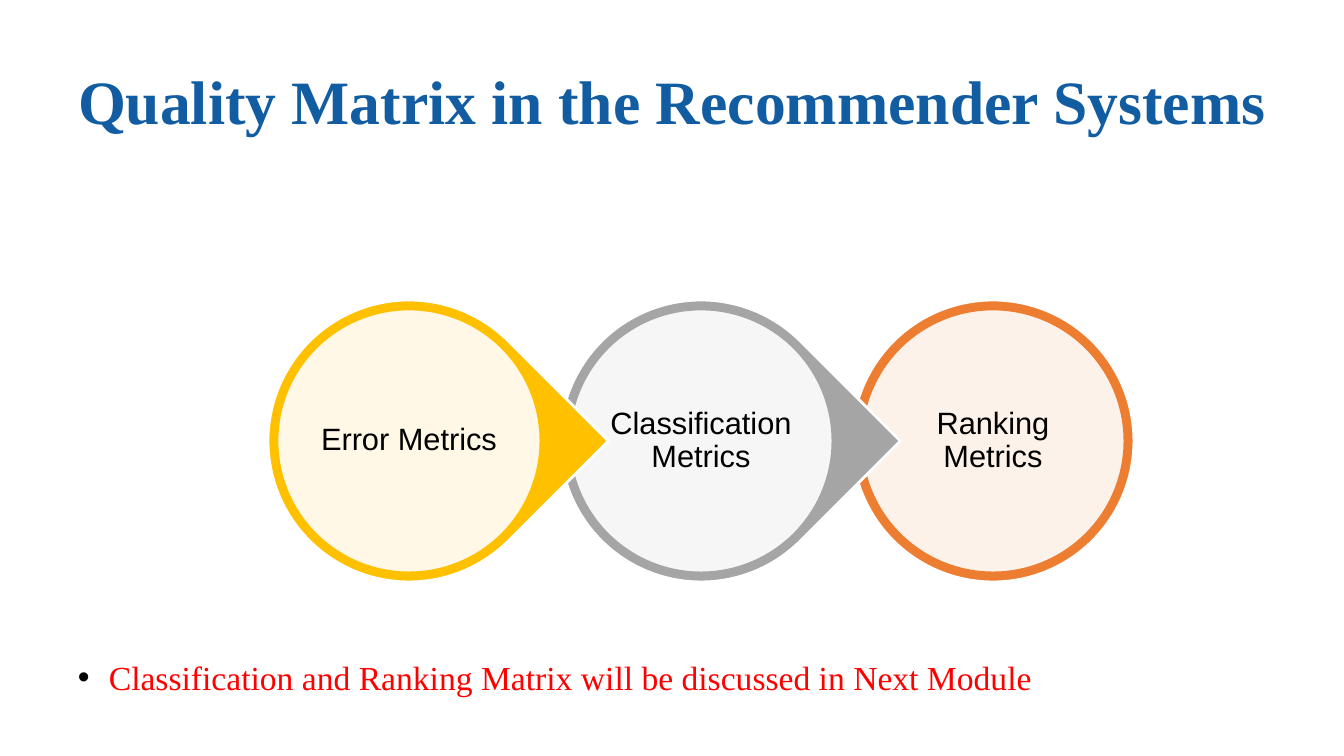
from lxml import etree
from pptx import Presentation
from pptx import util as u
from pptx.dml.color import RGBColor
from pptx.enum import shapes, text
from pptx.oxml.ns import qn

EMU_PER_PX = 914400 / 100.8
COLOURS = {
    "title": "125DA2", "note": "FF0000", "ink": "000000", "white": "FFFFFF",
    "error": "FFC000", "classification": "A5A5A5", "ranking": "ED7D31",
}
METRICS = [
    ("Error Metrics", "error", shapes.MSO_SHAPE.TEAR),
    ("Classification Metrics", "classification", shapes.MSO_SHAPE.TEAR),
    ("Ranking Metrics", "ranking", shapes.MSO_SHAPE.OVAL),
]


def px(length):
    return u.Emu(round(length * EMU_PER_PX))


def box_px(box):
    return [px(length) for length in box]


def colour(name):
    return RGBColor.from_string(COLOURS[name])


def set_attributes(target, values):
    for name, value in values.items():
        setattr(target, name, value)


def write_text(shape, wording, ink, font, frame, paragraph_format):
    set_attributes(shape.text_frame, {"word_wrap": True, **frame})
    paragraph = shape.text_frame.paragraphs[0]
    set_attributes(paragraph, paragraph_format)
    run = paragraph.add_run()
    run.text = wording
    set_attributes(run.font, font)
    run.font.color.rgb = colour(ink)
    return paragraph


def add_disc(parent, kind, box, fill, line):
    disc = parent.add_shape(kind, *box_px(box))
    disc.shadow.inherit = False
    disc.fill.solid()
    disc.fill.fore_color.rgb = colour(fill)
    disc.line.color.rgb = colour(line)
    disc.line.width = u.Pt(2)
    return disc


def add_title(slide, box):
    title = slide.shapes.title
    set_attributes(title, dict(zip(("left", "top", "width", "height"), box_px(box))))
    write_text(
        title, "Quality Matrix in the Recommender Systems", "title",
        {"name": "Times New Roman", "size": u.Pt(44), "bold": True},
        {"vertical_anchor": text.MSO_ANCHOR.MIDDLE, "auto_size": text.MSO_AUTO_SIZE.NONE},
        {"alignment": text.PP_ALIGN.LEFT, "line_spacing": 0.9},
    )


def add_metric(parent, box, wording, accent, kind):
    left, top, size = box
    outer = add_disc(parent, kind, (left, top, size, size), accent, "white")
    if kind == shapes.MSO_SHAPE.TEAR:
        outer.adjustments[0] = 1
        outer.rotation = 45

    def inset(margin):
        return left + margin, top + margin, size - 2 * margin, size - 2 * margin

    inner = add_disc(parent, shapes.MSO_SHAPE.OVAL, inset(9), "white", accent)
    white = inner.fill._xPr.find(f"{qn('a:solidFill')}/{qn('a:srgbClr')}")
    etree.SubElement(white, qn("a:alpha"), val="90000")

    label = parent.add_textbox(*box_px(inset(47)))
    margins = {f"margin_{side}": px(3) for side in ("left", "top", "right", "bottom")}
    write_text(
        label, wording, "ink", {"name": "Arial", "size": u.Pt(22)},
        {"vertical_anchor": text.MSO_ANCHOR.MIDDLE, **margins},
        {"alignment": text.PP_ALIGN.CENTER, "line_spacing": 0.9},
    )


def add_metric_chain(slide, box):
    left, top, width, size = box
    step = (width - size) // (len(METRICS) - 1)
    group = slide.shapes.add_group_shape()
    for position, metric in reversed(list(enumerate(METRICS))):
        add_metric(group.shapes, (left + position * step, top, size), *metric)


def add_note(slide, box):
    note = slide.shapes.add_textbox(*box_px(box))
    properties = note.text_frame.paragraphs[0]._p.get_or_add_pPr()
    properties.set("marL", str(px(31)))
    properties.set("indent", str(-px(31)))
    bullet_colour = etree.SubElement(properties, qn("a:buClr"))
    etree.SubElement(bullet_colour, qn("a:srgbClr"), val=COLOURS["ink"])
    etree.SubElement(properties, qn("a:buFont"), typeface="Arial")
    etree.SubElement(properties, qn("a:buChar"), char="•")
    write_text(
        note, "Classification and Ranking Matrix will be discussed in Next Module", "note",
        {"name": "Times New Roman", "size": u.Pt(24)}, {}, {},
    )


def main():
    presentation = Presentation()
    set_attributes(presentation, {"slide_width": px(1344), "slide_height": px(756)})
    slide = presentation.slides.add_slide(presentation.slide_layouts[5])
    add_title(slide, (68, 28, 1210, 154))
    add_metric_chain(slide, (268, 300, 866, 282))
    add_note(slide, (68, 652, 1032, 47))
    presentation.save("out.pptx")


if __name__ == "__main__":
    main()
